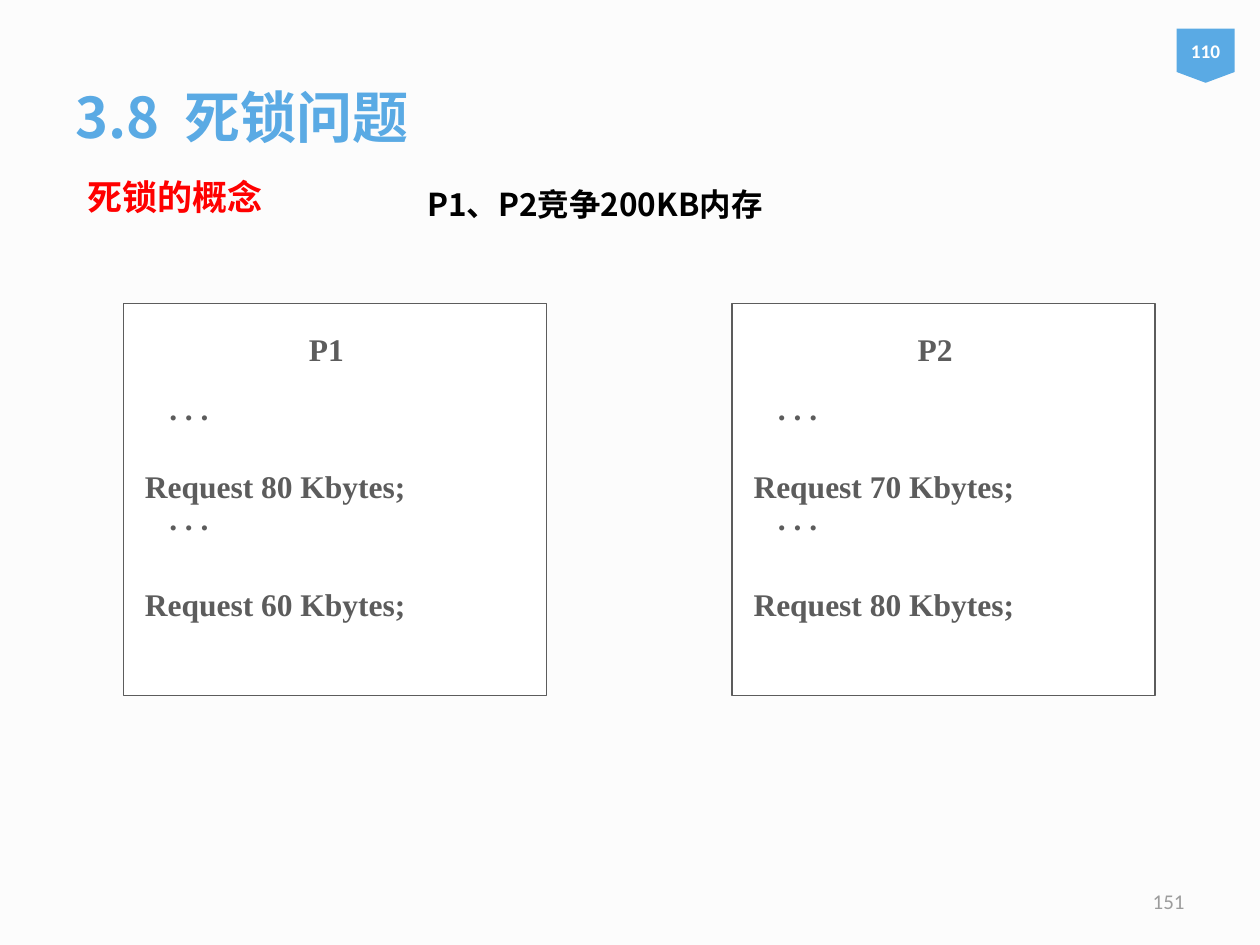
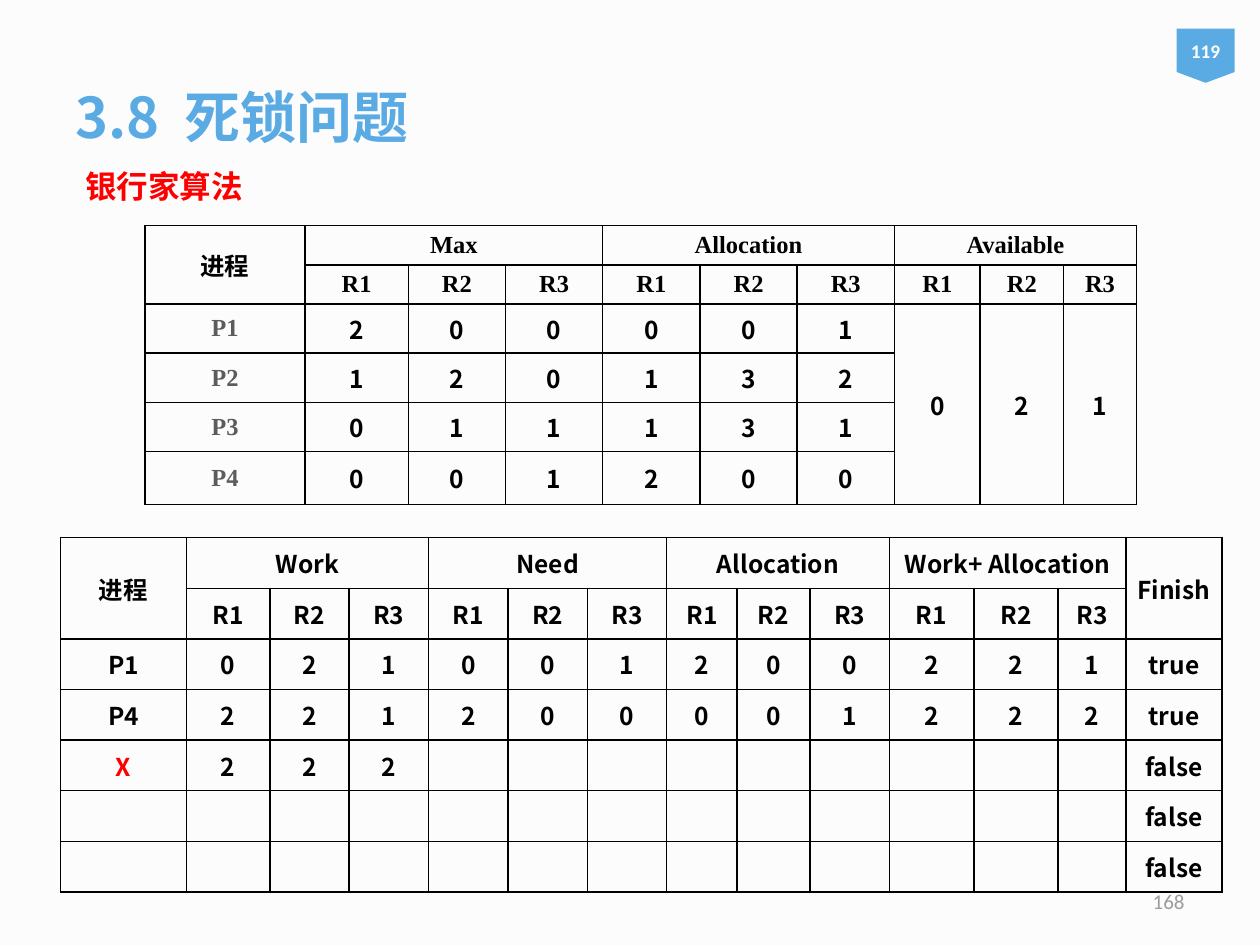
from dataclasses import dataclass
from itertools import product, takewhile

from lxml.etree import SubElement
from pptx import Presentation
from pptx.dml.color import RGBColor
from pptx.enum.shapes import MSO_SHAPE as Preset
from pptx.enum.text import MSO_ANCHOR as Anchor, PP_ALIGN as Align
from pptx.oxml import parse_xml
from pptx.oxml.ns import nsdecls, qn
from pptx.util import Cm, Pt

BLUE, RED, BLACK, WHITE = "5AAAE4", "FF0000", "000000", "FFFFFF"
GRAY, PALE_GRAY, PAPER = "5C5C5C", "9C9C9C", "FCFCFC"
NOTO, TIMES, CALIBRI = "Noto Sans CJK SC", "Times New Roman", "Calibri"
LEFT_MARK, UP_MARK = "<", "^"


@dataclass(frozen=True)
class Box:
    left: float
    top: float
    width: float
    height: float

    def lengths(self) -> tuple:
        return Cm(self.left), Cm(self.top), Cm(self.width), Cm(self.height)


@dataclass(frozen=True)
class Style:
    size: float
    color: str
    font: str = NOTO
    bold: bool = True
    align: Align = Align.LEFT
    anchor: Anchor = Anchor.TOP
    wrap: bool = True
    line_spacing: float = 1.0


@dataclass(frozen=True)
class Process:
    name: str
    left: float
    requests: tuple[int, int]


@dataclass(frozen=True)
class Grid:
    left: float
    top: float
    columns: tuple[float, ...]
    rows: tuple[float, ...]
    lines: tuple[str, ...]
    header_font: str
    process_font: str
    process_color: str


TITLE = Style(32, BLUE, anchor=Anchor.MIDDLE)
CONCEPT = Style(20, RED, line_spacing=1.5)
CONTEST = Style(18, BLACK, line_spacing=1.5)
ALGORITHM = Style(18, RED)
CODE = Style(18, GRAY, TIMES, align=Align.CENTER, wrap=False)
BADGE = Style(11, WHITE, CALIBRI, align=Align.CENTER, anchor=Anchor.MIDDLE)
PAGE = Style(12, PALE_GRAY, CALIBRI, False, Align.RIGHT, Anchor.MIDDLE)

PROCESSES = (Process("P1", 2.49, (80, 60)), Process("P2", 14.76, (70, 80)))

RESOURCES = Grid(
    2.92, 4.55,
    (3.23, 2.08, *[1.96] * 5, 1.73, 1.68, 1.47),
    (0.79, 0.79, 0.99, 0.99, 0.99, 1.07),
    (
        "进程|Max|<|<|Allocation|<|<|Available|<|<",
        "^|R1|R2|R3|R1|R2|R3|R1|R2|R3",
        "P1|2|0|0|0|0|1|0|2|1",
        "P2|1|2|0|1|3|2|^|^|^",
        "P3|0|1|1|1|3|1|^|^|^",
        "P4|0|0|1|2|0|0|^|^|^",
    ),
    TIMES, TIMES, GRAY,
)
SAFETY_CHECK = Grid(
    1.22, 10.84,
    (2.54, 1.68, *[1.6] * 5, 1.42, 1.47, 1.6, 1.7, 1.7, 1.37, 1.93),
    (1.02,) * 7,
    (
        "进程|Work|<|<|Need|<|<|Allocation|<|<|Work+ Allocation|<|<|Finish",
        "^|R1|R2|R3|R1|R2|R3|R1|R2|R3|R1|R2|R3|^",
        "P1|0|2|1|0|0|1|2|0|0|2|2|1|true",
        "P4|2|2|1|2|0|0|0|0|1|2|2|2|true",
        "X|2|2|2||||||||||false",
        "|||||||||||||false",
        "|||||||||||||false",
    ),
    NOTO, NOTO, BLACK,
)


def rgb(color: str) -> RGBColor:
    return RGBColor.from_string(color)


def format_text(frame, style: Style) -> None:
    frame.word_wrap = style.wrap
    frame.vertical_anchor = style.anchor
    for paragraph in frame.paragraphs:
        paragraph.alignment = style.align
        paragraph.line_spacing = style.line_spacing
        for run in paragraph.runs:
            run.font.size = Pt(style.size)
            run.font.bold = style.bold
            run.font.name = style.font
            run.font.color.rgb = rgb(style.color)
            SubElement(run.font._element, qn("a:ea"), typeface=NOTO)


def add_text(shapes, box: Box, text: str, style: Style) -> None:
    frame = shapes.add_textbox(*box.lengths()).text_frame
    frame.text = text
    format_text(frame, style)


def add_block(shapes, preset: Preset, box: Box, fill: str, line: str | None = None):
    block = shapes.add_shape(preset, *box.lengths())
    block.shadow.inherit = False
    block.fill.solid()
    block.fill.fore_color.rgb = rgb(fill)
    if line:
        block.line.color.rgb = rgb(line)
        block.line.width = Pt(1)
    else:
        block.line.fill.background()
    return block


def add_section_slide(prs, badge_number: str, page_number: str):
    slide = prs.slides.add_slide(prs.slide_layouts[5])
    title = slide.shapes.title
    title.left, title.top, title.width, title.height = Box(1.27, 0.76, 22.86, 3.18).lengths()
    heading = title.text_frame.paragraphs[0]
    for part in ("3.8", " ", "死锁问题"):
        heading.add_run().text = part
    format_text(title.text_frame, TITLE)
    heading.runs[1].font._element.set("spc", "700")

    badge = add_block(slide.shapes, Preset.FLOWCHART_OFFPAGE_CONNECTOR,
                      Box(23.72, 0.58, 1.17, 1.09), BLUE)
    badge.text_frame.text = badge_number
    format_text(badge.text_frame, BADGE)
    add_text(slide.shapes, Box(18.21, 17.65, 5.92, 1.02), page_number, PAGE)
    return slide


def add_process(slide, process: Process) -> None:
    shapes = slide.shapes.add_group_shape().shapes
    top = 6.12
    add_block(shapes, Preset.RECTANGLE, Box(process.left, top, 8.53, 7.9), WHITE, GRAY)
    first, second = (f"Request {amount} Kbytes;" for amount in process.requests)
    for text, indent, drop, width in (
        (process.name, 3.48, 0.41, 1.22),
        (". . .", 0.66, 1.6, 1.32),
        (first, 0.15, 3.18, 5.82),
        (". . .", 0.66, 3.81, 1.32),
        (second, 0.15, 5.54, 5.82),
    ):
        add_text(shapes, Box(process.left + indent, top + drop, width, 1.02), text, CODE)


def outline_cell(cell) -> None:
    properties = cell._tc.get_or_add_tcPr()
    for index, side in enumerate("LRTB"):
        properties.insert(index, parse_xml(
            f'<a:ln{side} {nsdecls("a")} w="12700"><a:solidFill>'
            f'<a:srgbClr val="{BLACK}"/></a:solidFill></a:ln{side}>'))


def cell_style(grid: Grid, row: int, column: int, text: str) -> Style:
    font, color = NOTO, BLACK
    if row < 2:
        font = grid.header_font
    elif column == 0:
        font = grid.process_font
        color = RED if text == "X" else grid.process_color
    return Style(14, color, font, align=Align.CENTER, anchor=Anchor.MIDDLE)


def run_length(marks: list[str], mark: str) -> int:
    return len(list(takewhile(lambda item: item == mark, marks)))


def add_grid(slide, grid: Grid) -> None:
    entries = [line.split("|") for line in grid.lines]
    box = Box(grid.left, grid.top, sum(grid.columns), sum(grid.rows))
    table = slide.shapes.add_table(len(grid.rows), len(grid.columns), *box.lengths()).table
    table.first_row = table.horz_banding = False
    for column, width in zip(table.columns, grid.columns):
        column.width = Cm(width)
    for row, height in zip(table.rows, grid.rows):
        row.height = Cm(height)

    for row, column in product(range(len(grid.rows)), range(len(grid.columns))):
        cell, text = table.cell(row, column), entries[row][column]
        cell.margin_left = cell.margin_right = Cm(0.18)
        cell.margin_top = cell.margin_bottom = 0
        cell.fill.background()
        outline_cell(cell)
        if text in (LEFT_MARK, UP_MARK):
            continue
        across = run_length(entries[row][column + 1:], LEFT_MARK)
        down = run_length([line[column] for line in entries[row + 1:]], UP_MARK)
        if across or down:
            cell.merge(table.cell(row + down, column + across))
        if text:
            cell.text_frame.text = text
            style = cell_style(grid, row, column, text)
            format_text(cell.text_frame, style)
            cell.vertical_anchor = style.anchor


def add_concept_slide(prs) -> None:
    slide = add_section_slide(prs, "110", "151")
    add_text(slide.shapes, Box(1.52, 3, 22.2, 1.9), "死锁的概念", CONCEPT)
    add_text(slide.shapes, Box(8.36, 3.23, 8.41, 1.42), "P1、P2竞争200KB内存", CONTEST)
    for process in PROCESSES:
        add_process(slide, process)


def add_banker_slide(prs) -> None:
    slide = add_section_slide(prs, "119", "168")
    add_text(slide.shapes, Box(1.47, 3.25, 12.7, 1.02), "银行家算法", ALGORITHM)
    for grid in (RESOURCES, SAFETY_CHECK):
        add_grid(slide, grid)


def main() -> None:
    prs = Presentation()
    prs.slide_width, prs.slide_height = Cm(25.4), Cm(19.05)
    backdrop = prs.slide_master.background.fill
    backdrop.solid()
    backdrop.fore_color.rgb = rgb(PAPER)
    add_concept_slide(prs)
    add_banker_slide(prs)
    prs.save("out.pptx")


if __name__ == "__main__":
    main()
